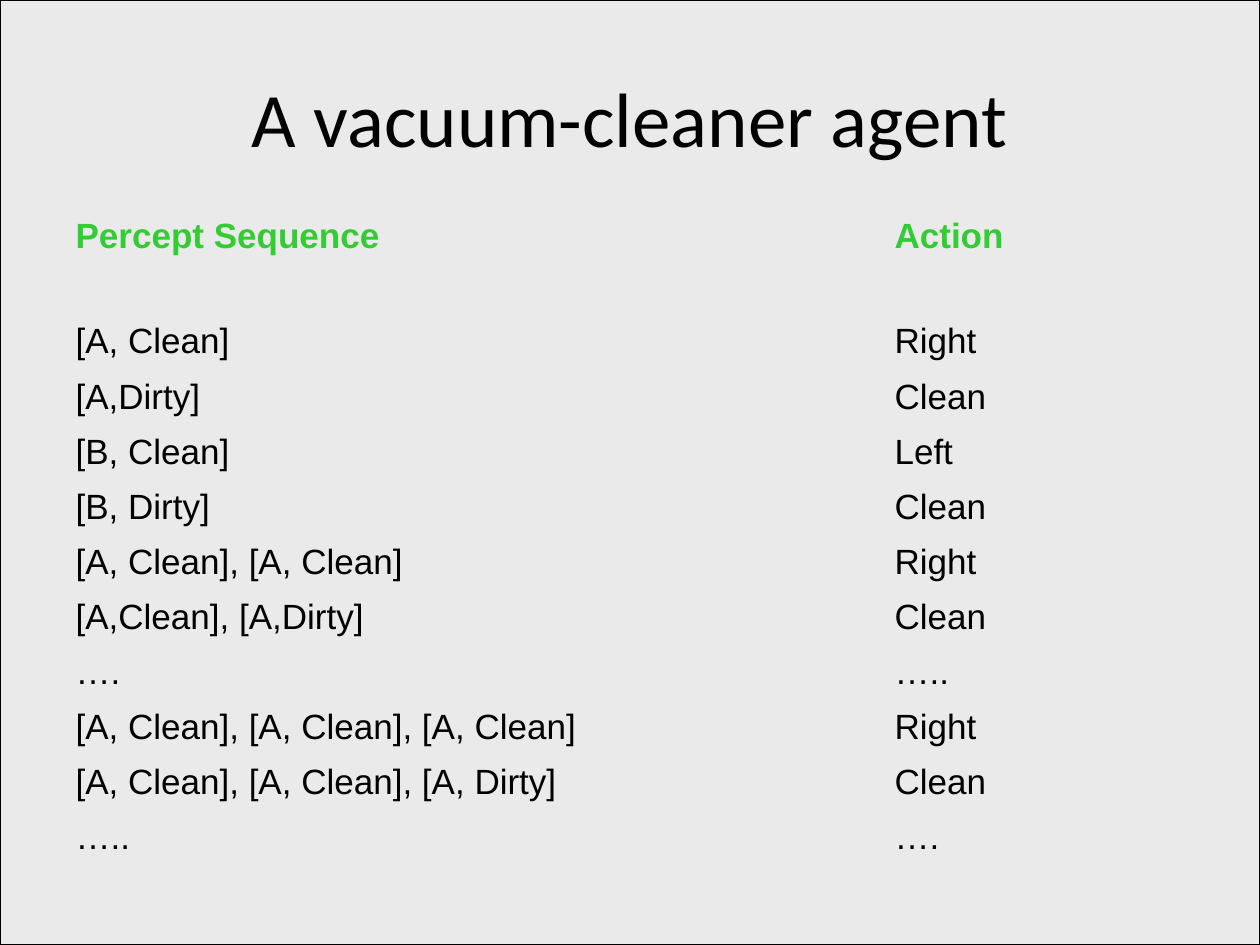
from pptx import Presentation
from pptx.dml.color import RGBColor
from pptx.enum.shapes import MSO_SHAPE
from pptx.enum.text import MSO_ANCHOR, PP_ALIGN
from pptx.oxml.ns import qn
from pptx.util import Cm, Pt

RECT = MSO_SHAPE.RECTANGLE
MIDDLE = MSO_ANCHOR.MIDDLE
LEFT = PP_ALIGN.LEFT
CENTER = PP_ALIGN.CENTER
PLAIN_GRID = "{2D5ABB26-0587-4C30-8999-92F81FD0307C}"

ROWS = [
    ("Percept Sequence", "Action"),
    ("[A, Clean]", "Right"),
    ("[A,Dirty]", "Clean"),
    ("[B, Clean]", "Left"),
    ("[B, Dirty]", "Clean"),
    ("[A, Clean], [A, Clean]", "Right"),
    ("[A,Clean], [A,Dirty]", "Clean"),
    ("….", "….."),
    ("[A, Clean], [A, Clean], [A, Clean]", "Right"),
    ("[A, Clean], [A, Clean], [A, Dirty]", "Clean"),
    ("…..", "…."),
]


def color(code):
    return RGBColor.from_string(code)


class Deck:
    ink = "000000"
    accent = "33CC33"
    paper = "EAEAEA"
    head_font = "Calibri"
    body_font = "Arial"

    def __init__(self):
        self.file = Presentation()
        self.file.slide_width = Cm(25.4)
        self.file.slide_height = Cm(19.05)
        self.slide = self.file.slides.add_slide(self.file.slide_layouts[5])

    def add_text(self, para, text, font, size, ink, bold=False):
        run = para.add_run()
        run.text = text
        run.font.name = font
        run.font.size = Pt(size)
        run.font.bold = bold
        run.font.color.rgb = color(ink)

    def panel(self):
        shapes = self.slide.shapes
        box = shapes.add_shape(RECT, 0, 0, self.file.slide_width, self.file.slide_height)
        box.shadow.inherit = False
        box.fill.solid()
        box.fill.fore_color.rgb = color(self.paper)
        box.line.color.rgb = color(self.ink)
        box.line.width = Pt(0.75)
        shapes.title._element.addprevious(box._element)

    def title(self, text):
        head = self.slide.shapes.title
        head.left, head.top = Cm(1.27), Cm(0.76)
        head.width, head.height = Cm(22.86), Cm(3.18)
        frame = head.text_frame
        frame.vertical_anchor = MIDDLE
        para = frame.paragraphs[0]
        para.alignment = CENTER
        self.add_text(para, text, self.head_font, 44, self.ink)

    def table(self, rows, left, top, widths, heights):
        frame = self.slide.shapes.add_table(
            len(rows), len(widths), Cm(left), Cm(top), Cm(sum(widths)), Cm(sum(heights))
        )
        grid = frame.table
        grid.horz_banding = False
        grid._tbl.tblPr.find(qn("a:tableStyleId")).text = PLAIN_GRID
        for col, width in zip(grid.columns, widths):
            col.width = Cm(width)
        for row, height, texts in zip(grid.rows, heights, rows):
            row.height = Cm(height)
            top_row = texts is rows[0]
            ink = self.accent if top_row else self.ink
            for cell, text in zip(row.cells, texts):
                cell.fill.background()
                para = cell.text_frame.paragraphs[0]
                para.alignment = LEFT
                para.space_before = Pt(5)
                self.add_text(para, text, self.body_font, 20, ink, top_row)


def main():
    deck = Deck()
    deck.panel()
    deck.title("A vacuum-cleaner agent")
    deck.table(ROWS, 1.27, 4.24, [16.51, 6.15], [2.13] + [1.11] * (len(ROWS) - 1))
    deck.file.save("out.pptx")


if __name__ == "__main__":
    main()
